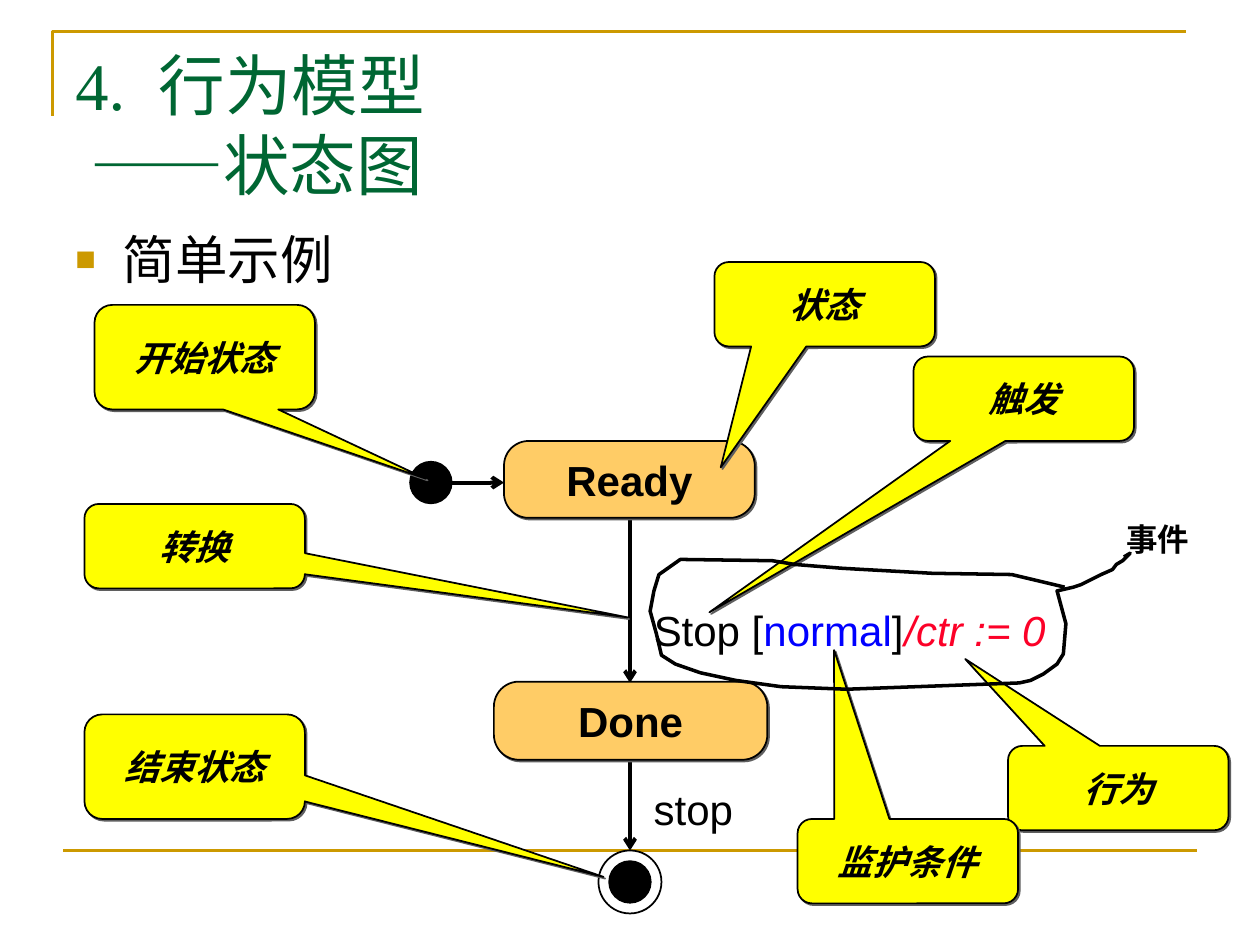
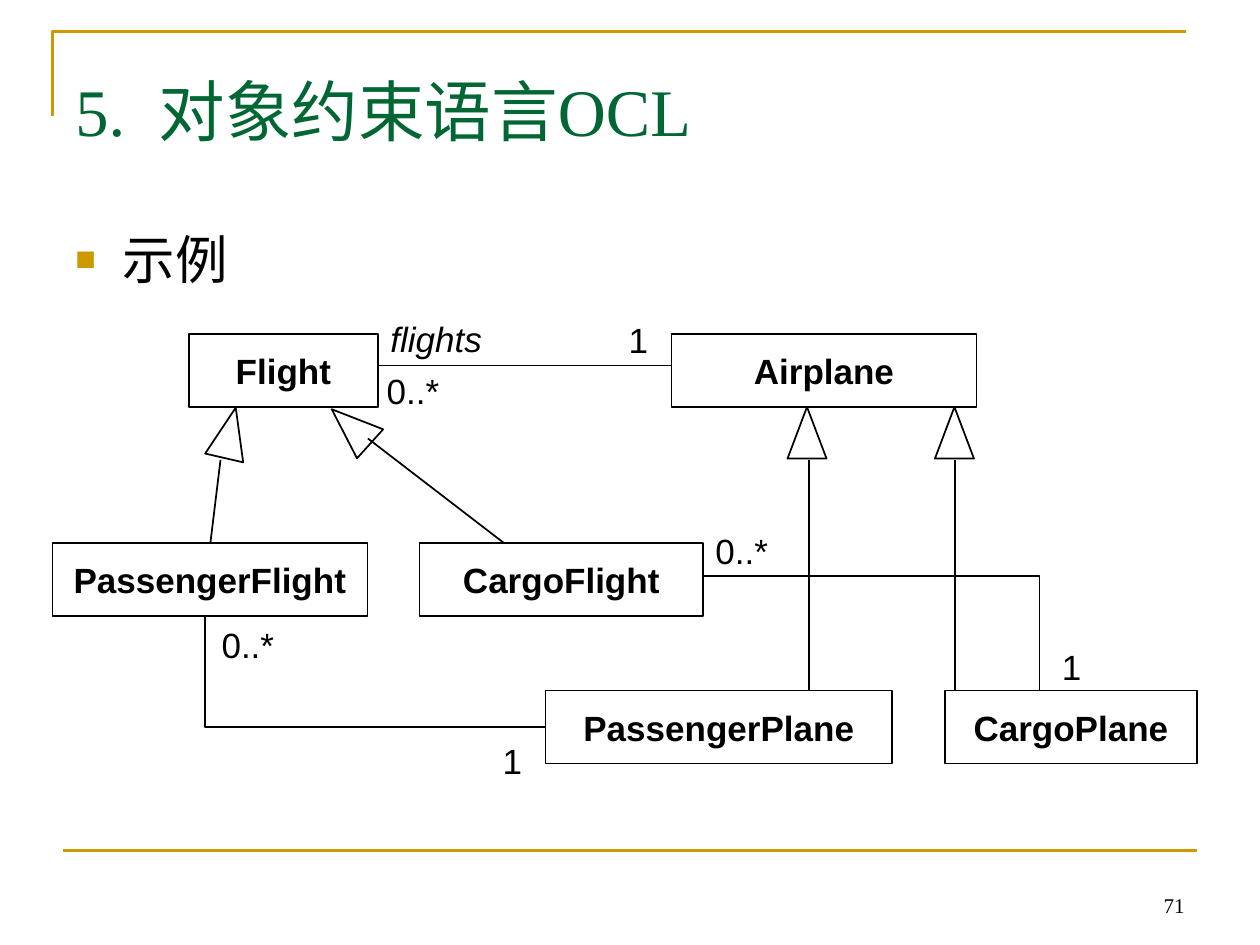
from dataclasses import dataclass

from lxml import etree
from pptx import Presentation
from pptx.dml.color import RGBColor
from pptx.enum import shapes, text
from pptx.oxml import ns
from pptx.util import Inches, Pt

GOLD = RGBColor(0xCC, 0x99, 0x00)
GREEN = RGBColor(0x00, 0x66, 0x33)
BLACK = RGBColor(0, 0, 0)
WHITE = RGBColor(0xFF, 0xFF, 0xFF)
ORANGE = RGBColor(0xFF, 0xCC, 0x66)
YELLOW = RGBColor(0xFF, 0xFF, 0x00)
BLUE = RGBColor(0, 0, 0xFF)
RED = RGBColor(0xFC, 0x01, 0x28)
SHADOW_GREY = "5F5F5F"
SANS, SERIF = "Arial", "Times New Roman"
PRESET = shapes.MSO_SHAPE
LEFT, CENTER, RIGHT = text.PP_ALIGN.LEFT, text.PP_ALIGN.CENTER, text.PP_ALIGN.RIGHT
TOP, MIDDLE, BOTTOM = text.MSO_ANCHOR.TOP, text.MSO_ANCHOR.MIDDLE, text.MSO_ANCHOR.BOTTOM
FRAME_LEFT = 5 / 12

Point = tuple[float, float]
Box = tuple[float, float, float, float]


@dataclass(frozen=True)
class Style:
    size: float
    color: RGBColor = BLACK
    font: str = SANS
    bold: bool = False
    italic: bool = False


TITLE = Style(38, GREEN, SERIF)
TITLE_DASH = Style(38, GREEN)
BULLET = Style(30)
STATE = Style(24, bold=True)
TRANSITION = Style(24)
CALLOUT = Style(20, bold=True, italic=True)
CLASS_NAME = Style(20, bold=True)
MULTIPLICITY = Style(20)
ROLE = Style(20, italic=True)
PAGE_NUMBER = Style(12, font=SERIF)

Span = tuple[str, Style]


@dataclass(frozen=True)
class Callout:
    caption: str
    left: float
    top: float
    tip: Point
    height: float = 0.67
    width: float = 1.75


@dataclass(frozen=True)
class Label:
    left: float
    top: float
    width: float
    height: float
    spans: list[Span]


CALLOUTS = [
    Callout("状态", 5.67, 2.08, (5.72, 3.71)),
    Callout("触发", 7.25, 2.83, (5.63, 4.86)),
    Callout("行为", 8, 5.92, (7.66, 5.23)),
    Callout("开始状态", 0.75, 2.42, (3.38, 3.8), 0.83),
    Callout("转换", 0.67, 4, (4.98, 4.9)),
    Callout("结束状态", 0.67, 5.67, (4.79, 6.96), 0.83),
    Callout("监护条件", 6.33, 6.5, (6.62, 5.16)),
]
TRANSITION_LABELS = [
    Label(5.09, 6.17, 0.83, 0.5, [("stop", TRANSITION)]),
    Label(7.08, 4.75, 1.32, 0.5, [("/ctr := 0", Style(24, RED, italic=True))]),
    Label(5.09, 4.75, 2.18, 0.5, [("Stop [", TRANSITION), ("normal", Style(24, BLUE)),
                                  ("]", TRANSITION)]),
]
EVENT_LABEL = Label(8.84, 4.08, 0.7, 0.4, [("事件", Style(18, bold=True))])
EVENT_LOOP: list[Point] = [
    (8.45, 4.66), (8.03, 4.56), (7.4, 4.55), (6.86, 4.52), (6.68, 4.51), (6.31, 4.48),
    (6.13, 4.45), (5.4, 4.44), (5.23, 4.56), (5.19, 4.69), (5.16, 4.85), (5.21, 5.03),
    (5.25, 5.2), (5.36, 5.27), (5.56, 5.34), (5.84, 5.4), (6.2, 5.45), (6.72, 5.47),
    (8.09, 5.42), (8.18, 5.4), (8.28, 5.35), (8.39, 5.27), (8.44, 5.19), (8.46, 4.95),
    (8.39, 4.69), (8.52, 4.66), (8.58, 4.64), (8.74, 4.56), (8.83, 4.52), (8.86, 4.48),
    (8.91, 4.45), (8.97, 4.39), (8.92, 4.42),
]
CLASS_HEIGHT = 0.58
CLASSES: list[tuple[str, float, float, float]] = [
    ("Flight", 1.5, 2.65, 1.5),
    ("Airplane", 5.33, 2.65, 2.42),
    ("CargoFlight", 3.33, 4.31, 2.25),
    ("PassengerFlight", FRAME_LEFT, 4.31, 2.5),
    ("PassengerPlane", 4.33, 5.48, 2.75),
    ("CargoPlane", 7.5, 5.48, 2),
]
# left, top and rotation of each generalization triangle, with the line below it
GENERALIZATIONS: list[tuple[float, float, float, Point, Point]] = [
    (1.67, 3.23, 13, (1.75, 3.65), (1.67, 4.31)),
    (2.63, 3.18, 312, (2.92, 3.48), (4, 4.31)),
    (6.25, 3.23, 0, (6.42, 3.65), (6.42, 5.48)),
    (7.42, 3.23, 0, (7.58, 3.65), (7.58, 5.48)),
]
ASSOCIATIONS: list[list[Point]] = [
    [(1.63, 4.9), (1.63, 5.77), (4.33, 5.77)],
    [(5.58, 4.57), (8.25, 4.57), (8.25, 5.48)],
]
ASSOCIATION_LABELS = [
    *(Label(left, top, 0.36, 0.43, [("1", MULTIPLICITY)])
      for left, top in [(3.89, 5.82), (8.33, 5.07), (4.89, 2.48)]),
    *(Label(left, top, 0.62, height, [("0..*", MULTIPLICITY)])
      for left, top, height in [(1.66, 4.9, 0.77), (5.58, 4.15, 0.43), (2.97, 2.88, 0.43)]),
    Label(3, 2.47, 0.93, 0.43, [("flights", ROLE)]),
]


def add_spans(paragraph, spans: list[Span]) -> None:
    for words, style in spans:
        run = paragraph.add_run()
        run.text = words
        font = run.font
        font.size, font.name = Pt(style.size), style.font
        font.bold, font.italic = style.bold, style.italic
        font.color.rgb = style.color


def add_text(slide, box: Box, lines: list[list[Span]], align=LEFT, anchor=TOP,
             wrap: bool = True):
    """Add one paragraph whose lines are parted by line breaks, and return it."""
    frame = slide.shapes.add_textbox(*map(Inches, box)).text_frame
    frame.word_wrap, frame.vertical_anchor = wrap, anchor
    paragraph = frame.paragraphs[0]
    paragraph.alignment = align
    for index, spans in enumerate(lines):
        if index:
            paragraph.add_line_break()
        add_spans(paragraph, spans)
    return paragraph


def add_label(slide, label: Label) -> None:
    add_text(slide, (label.left, label.top, label.width, label.height), [label.spans],
             wrap=False)


def add_node(slide, preset, box: Box, fill: RGBColor | None = None,
             spans: list[Span] | None = None):
    node = slide.shapes.add_shape(preset, *map(Inches, box))
    node.shadow.inherit = False
    if fill is None:
        node.fill.background()
    else:
        node.fill.solid()
        node.fill.fore_color.rgb = fill
    node.line.color.rgb, node.line.width = BLACK, Pt(1)
    if spans:
        frame = node.text_frame
        frame.word_wrap, frame.vertical_anchor = False, MIDDLE
        frame.paragraphs[0].alignment = CENTER
        add_spans(frame.paragraphs[0], spans)
    return node


def add_hard_shadow(node) -> None:
    effects = node._element.spPr.find(ns.qn("a:effectLst"))
    shadow = etree.SubElement(effects, ns.qn("a:outerShdw"), blurRad="0",
                              dist=str(Pt(1.4)), dir="2700000", algn="ctr", rotWithShape="0")
    etree.SubElement(shadow, ns.qn("a:srgbClr"), val=SHADOW_GREY)


def add_line(slide, start: Point, end: Point, color: RGBColor = BLACK, width: float = 1,
             arrow: bool = False) -> None:
    line = slide.shapes.add_connector(shapes.MSO_CONNECTOR.STRAIGHT,
                                      *map(Inches, (*start, *end)))
    line.line.color.rgb, line.line.width = color, Pt(width)
    if arrow:
        etree.SubElement(line.line._get_or_add_ln(), ns.qn("a:tailEnd"), type="arrow")
    etree.SubElement(line._element.spPr, ns.qn("a:effectLst"))


def add_outline(slide, points: list[Point], color: RGBColor = BLACK, width: float = 1) -> None:
    start, *rest = [(Inches(x), Inches(y)) for x, y in points]
    builder = slide.shapes.build_freeform(*start)
    builder.add_line_segments(rest, close=False)
    outline = builder.convert_to_shape()
    outline.shadow.inherit = False
    outline.fill.background()
    outline.line.color.rgb, outline.line.width = color, Pt(width)


def add_callout(slide, callout: Callout) -> None:
    box = (callout.left, callout.top, callout.width, callout.height)
    bubble = add_node(slide, PRESET.ROUNDED_RECTANGULAR_CALLOUT, box, YELLOW,
                      [(callout.caption, CALLOUT)])
    bubble.adjustments[0] = (callout.tip[0] - callout.left) / callout.width - 0.5
    bubble.adjustments[1] = (callout.tip[1] - callout.top) / callout.height - 0.5
    bubble.adjustments[2] = 0.17
    add_hard_shadow(bubble)


def add_state(slide, name: str, box: Box) -> None:
    state = add_node(slide, PRESET.ROUNDED_RECTANGLE, box, ORANGE, [(name, STATE)])
    state.adjustments[0] = 0.32
    add_hard_shadow(state)


def add_dot(slide, center: Point, diameter: float, fill: RGBColor) -> None:
    x, y = center
    add_node(slide, PRESET.OVAL, (x - diameter / 2, y - diameter / 2, diameter, diameter), fill)


def add_title(slide, top: float, lines: list[list[Span]], anchor) -> None:
    """Add a title whose number is set off by a tab."""
    paragraph = add_text(slide, (0.5, top, 9, 1.25), lines, anchor=anchor)
    tabs = etree.SubElement(paragraph._p.get_or_add_pPr(), ns.qn("a:tabLst"))
    etree.SubElement(tabs, ns.qn("a:tab"), pos=str(Inches(0.66)), algn="l")


def add_bullet(slide, words: str) -> None:
    paragraph = add_text(slide, (0.5, 1.75, 9, 4.95), [[(words, BULLET)]])
    paragraph.space_before = Pt(7.5)
    props = paragraph._p.get_or_add_pPr()
    props.set("marL", str(Inches(3 / 8)))
    props.set("indent", str(-Inches(3 / 8)))
    color = etree.SubElement(props, ns.qn("a:buClr"))
    etree.SubElement(color, ns.qn("a:srgbClr"), val=str(GOLD))
    etree.SubElement(props, ns.qn("a:buSzPct"), val="65000")
    etree.SubElement(props, ns.qn("a:buFont"), typeface=SANS)
    etree.SubElement(props, ns.qn("a:buChar"), char="■")


def add_framed_slide(deck):
    slide = deck.slides.add_slide(deck.slide_layouts[6])
    add_outline(slide, [(FRAME_LEFT, 0.92), (FRAME_LEFT, 0.25), (FRAME_LEFT + 9, 0.25)],
                GOLD, 1.5)
    add_line(slide, (0.5, 6.75), (9.5, 6.75), GOLD, 1.5)
    return slide


def build_state_diagram(deck) -> None:
    slide = add_framed_slide(deck)
    add_title(slide, 0.3, [[("4.\t行为模型", TITLE)],
                           [(" ", TITLE), ("——", TITLE_DASH), ("状态图", TITLE)]], TOP)
    add_bullet(slide, "简单示例")
    for start, end in [((5, 4.08), (5, 5.42)), ((5, 6), (5, 6.75)), ((3.42, 3.83), (4, 3.83))]:
        add_line(slide, start, end, width=2.25, arrow=True)
    add_state(slide, "Ready", (4, 3.5, 1.99, 0.61))
    add_state(slide, "Done", (3.92, 5.41, 2.17, 0.62))
    add_dot(slide, (3.42, 3.83), 0.33, BLACK)
    add_dot(slide, (5, 7), 0.5, WHITE)
    add_dot(slide, (5, 7), 0.33, BLACK)
    for label in TRANSITION_LABELS:
        add_label(slide, label)
    for callout in CALLOUTS:
        add_callout(slide, callout)
    add_outline(slide, EVENT_LOOP, width=2)
    add_label(slide, EVENT_LABEL)


def build_class_diagram(deck) -> None:
    slide = add_framed_slide(deck)
    add_text(slide, (7.17, 6.83, 2.33, 0.5), [[("71", PAGE_NUMBER)]], RIGHT, BOTTOM)
    add_title(slide, 0.25, [[("5.\t对象约束语言OCL", TITLE)]], MIDDLE)
    add_bullet(slide, "示例")
    for name, left, top, width in CLASSES:
        add_node(slide, PRESET.RECTANGLE, (left, top, width, CLASS_HEIGHT),
                 spans=[(name, CLASS_NAME)])
    for left, top, rotation, start, end in GENERALIZATIONS:
        add_line(slide, start, end)
        add_node(slide, PRESET.ISOSCELES_TRIANGLE, (left, top, 0.31, 0.41)).rotation = rotation
    for route in ASSOCIATIONS:
        add_outline(slide, route)
    add_line(slide, (3, 2.9), (5.33, 2.9))
    for label in ASSOCIATION_LABELS:
        add_label(slide, label)


def main() -> None:
    deck = Presentation()
    deck.slide_width, deck.slide_height = Inches(10), Inches(7.5)
    build_state_diagram(deck)
    build_class_diagram(deck)
    deck.save("out.pptx")


if __name__ == "__main__":
    main()
